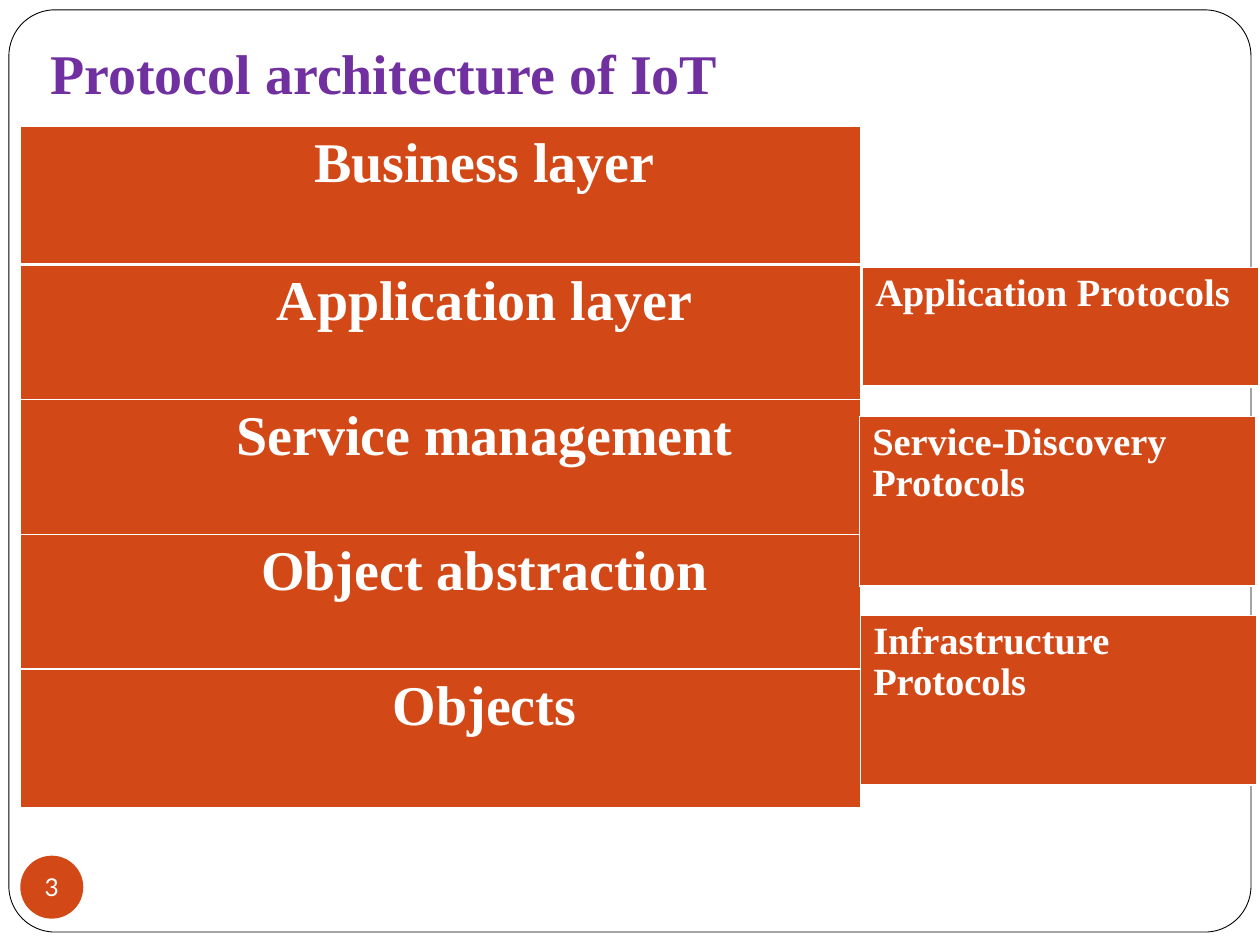
from lxml.etree import SubElement
from pptx import Presentation
from pptx.dml.color import RGBColor
from pptx.enum.shapes import MSO_SHAPE
from pptx.enum.text import MSO_ANCHOR, PP_ALIGN
from pptx.oxml.ns import qn
from pptx.util import Cm, Pt

COLORS = {
    "white": "FFFFFF",
    "black": "000000",
    "orange": "D34817",
    "purple": "7030A0",
}
SERIF = "Times New Roman"
THIN, THICK = 0.45, 1.47

LAYERS = [  # name, row height, top border, bottom border
    ("Business layer", 2.79, THIN, THICK),
    ("Application layer", 2.72, THICK, THIN),
    ("Service management", 2.72, THIN, THIN),
    ("Object abstraction", 2.72, THIN, THICK),
    ("Objects", 2.79, THICK, THIN),
]
PROTOCOLS = [  # name, left, top, height
    ("Infrastructure Protocols", 17.35, 12.4, 3.43),
    ("Service-Discovery Protocols", 17.33, 8.39, 3.43),
    ("Application Protocols", 17.39, 5.38, 2.41),
]


def color(name):
    return RGBColor.from_string(COLORS[name])


def style(paragraph, size, tint, face=SERIF, bold=True):
    font = paragraph.font
    font.name, font.size, font.bold = face, Pt(size), bold
    font.color.rgb = color(tint)


def add_panel(slide, kind, left, top, width, height, fill):
    panel = slide.shapes.add_shape(kind, Cm(left), Cm(top), Cm(width), Cm(height))
    panel.shadow.inherit = False
    panel.fill.solid()
    panel.fill.fore_color.rgb = color(fill)
    panel.line.fill.background()
    return panel


def add_frame(slide):
    frame = add_panel(slide, MSO_SHAPE.ROUNDED_RECTANGLE, 0.18, 0.2, 25.04, 18.59, "white")
    frame.adjustments[0] = 0.05
    frame.line.color.rgb = color("black")
    frame.line.width = Pt(0.5)


def add_page_number(slide, number):
    badge = add_panel(slide, MSO_SHAPE.OVAL, 0.41, 17.25, 1.27, 1.27, "orange")
    text = badge.text_frame
    text.margin_left = text.margin_right = text.margin_top = text.margin_bottom = 0
    text.word_wrap = False
    text.vertical_anchor = MSO_ANCHOR.MIDDLE
    label = text.paragraphs[0]
    label.text = number
    label.alignment = PP_ALIGN.CENTER
    style(label, 14, "white", "Lato", False)


def add_title(slide, title):
    text = slide.shapes.add_textbox(Cm(0.76), Cm(0.53), Cm(24.16), Cm(17.91)).text_frame
    text.word_wrap = True
    text.margin_top = Cm(0.25)
    heading = text.paragraphs[0]
    heading.text = title
    style(heading, 32, "purple")


def set_borders(cell, top, bottom):
    """Draw white cell borders; the side borders are always thin."""
    properties = cell._tc.get_or_add_tcPr()
    for edge, width in (("lnL", THIN), ("lnR", THIN), ("lnT", top), ("lnB", bottom)):
        line = SubElement(properties, qn(f"a:{edge}"), w=str(Pt(width)))
        SubElement(SubElement(line, qn("a:solidFill")), qn("a:srgbClr"), val=COLORS["white"])


def add_stack(slide, left, top, width, rows, size):
    """Add a one-column table and return the paragraph of each row."""
    height = sum(row[1] for row in rows)
    table = slide.shapes.add_table(
        len(rows), 1, Cm(left), Cm(top), Cm(width), Cm(height)).table
    table.first_row = table.horz_banding = False
    labels = []
    for index, (name, row_height, upper, lower) in enumerate(rows):
        table.rows[index].height = Cm(row_height)
        cell = table.cell(index, 0)
        set_borders(cell, upper, lower)
        cell.fill.solid()
        cell.fill.fore_color.rgb = color("orange")
        label = cell.text_frame.paragraphs[0]
        label.text = name
        style(label, size, "white")
        labels.append(label)
    return labels


def main():
    deck = Presentation()
    deck.slide_width, deck.slide_height = Cm(25.4), Cm(19.05)
    slide = deck.slides.add_slide(deck.slide_layouts[6])

    add_frame(slide)
    add_page_number(slide, "3")
    add_title(slide, "Protocol architecture of IoT")

    for label in add_stack(slide, 0.41, 2.54, 16.94, LAYERS, 32):
        label.alignment = PP_ALIGN.CENTER
        label._p.get_or_add_pPr().set("marL", str(Cm(1.78)))

    for name, left, top, height in PROTOCOLS:
        row = (name, height, THIN, THICK)
        for label in add_stack(slide, left, top, 7.98, [row], 22):
            label.line_spacing = 0.97

    deck.save("out.pptx")


if __name__ == "__main__":
    main()
